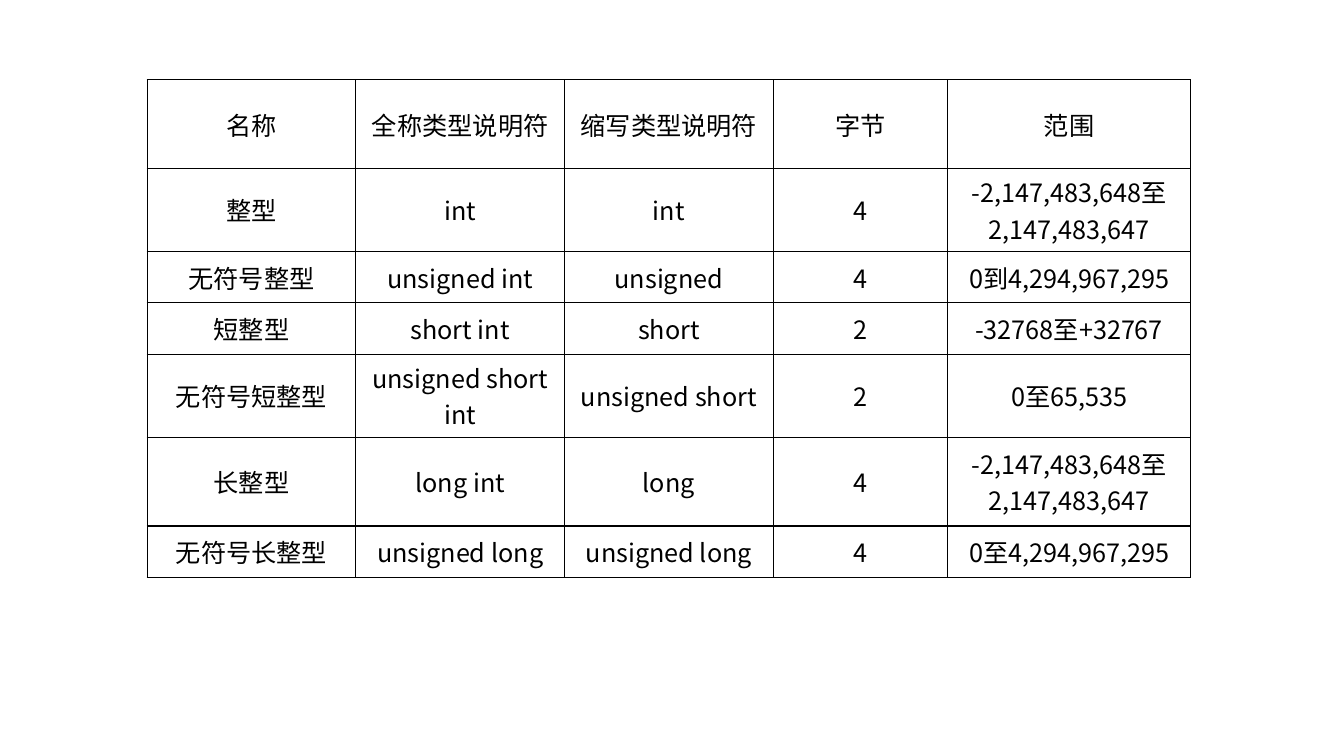
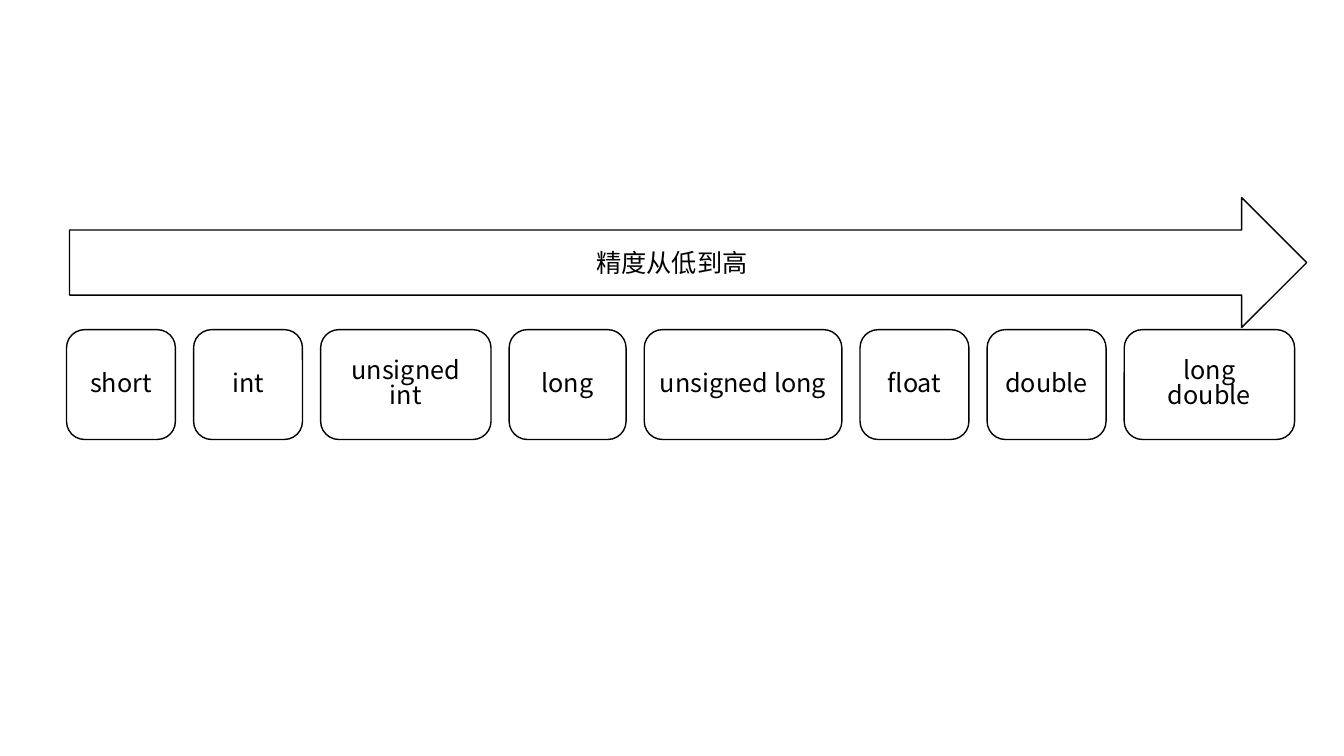
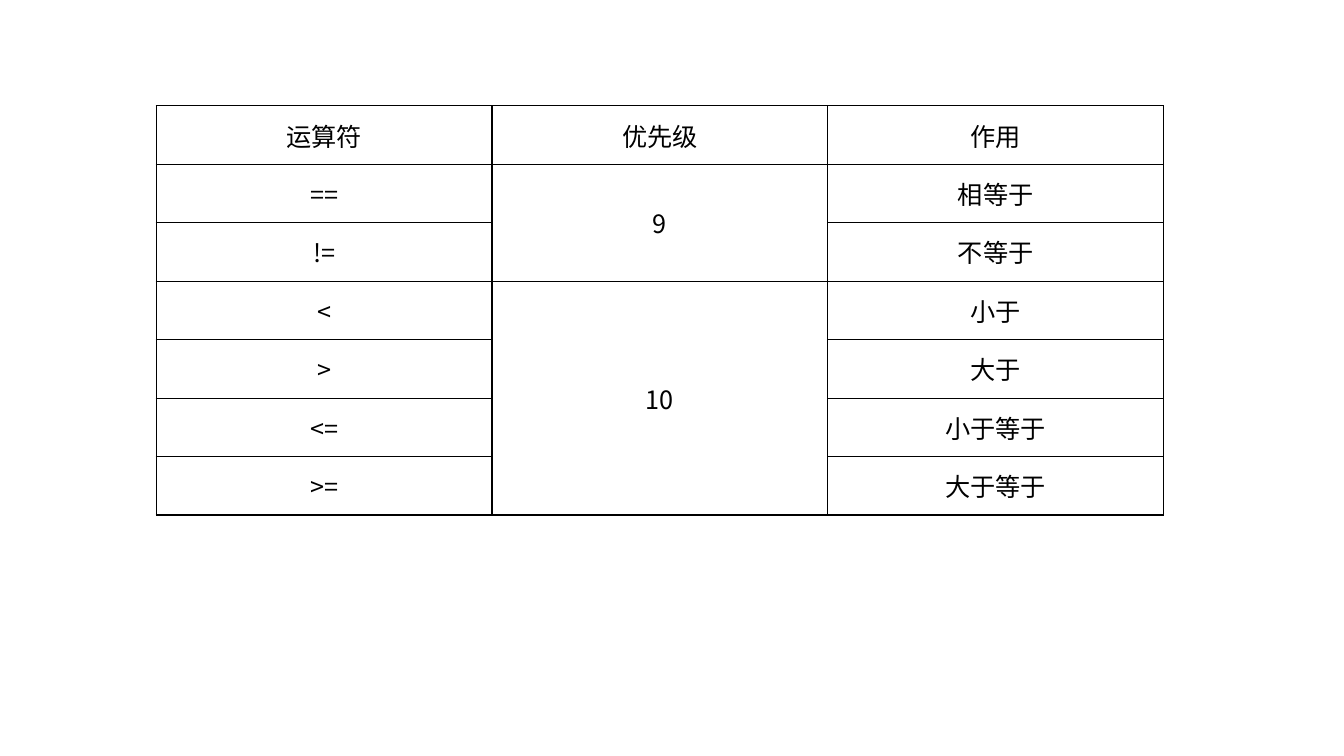
"""Three slides on integer types, type precision and relational operators."""
from pptx import Presentation
from pptx.dml.color import RGBColor
from pptx.enum.shapes import MSO_SHAPE
from pptx.enum.text import MSO_ANCHOR, PP_ALIGN
from pptx.oxml import parse_xml
from pptx.oxml.ns import nsdecls
from pptx.util import Inches, Pt

MIDDLE, CENTER = MSO_ANCHOR.MIDDLE, PP_ALIGN.CENTER
ARROW, ROUND = MSO_SHAPE.RIGHT_ARROW, MSO_SHAPE.ROUNDED_RECTANGLE
BLACK = RGBColor(0, 0, 0)
WHITE = RGBColor(255, 255, 255)
FONT, SIZE = "Noto Sans CJK SC", Pt(18)
STROKE = Pt(1)

TYPES = [
    ("名称", "全称类型说明符", "缩写类型说明符", "字节", "范围"),
    ("整型", "int", "int", "4", "-2,147,483,648至2,147,483,647"),
    ("无符号整型", "unsigned int", "unsigned", "4", "0到4,294,967,295"),
    ("短整型", "short int", "short", "2", "-32768至+32767"),
    ("无符号短整型", "unsigned short int", "unsigned short", "2", "0至65,535"),
    ("长整型", "long int", "long", "4", "-2,147,483,648至2,147,483,647"),
    ("无符号长整型", "unsigned long", "unsigned long", "4", "0至4,294,967,295"),
]
TYPE_COLS = [2.07, 2.07, 2.07, 1.73, 2.41]
TYPE_ROWS = [0.88, 0.82, 0.51, 0.51, 0.82, 0.88, 0.51]

SCALE = "精度从低到高"
RANKS = [
    ("short", 1.08), ("int", 1.08), ("unsigned int", 1.69), ("long", 1.16),
    ("unsigned long", 1.96), ("float", 1.08), ("double", 1.18),
    ("long double", 1.69),
]
RANK_LEFT, RANK_TOP, RANK_HIGH, RANK_GAP = 0.66, 3.27, 1.09, 0.18
TIGHT = 0.82

SIGNS = [
    ("运算符", "优先级", "作用"),
    ("==", "9", "相等于"),
    ("!=", "", "不等于"),
    ("<", "10", "小于"),
    (">", "", "大于"),
    ("<=", "", "小于等于"),
    (">=", "", "大于等于"),
]
SIGN_COLS = [3.33] * 3
SIGN_ROWS = [0.58] * len(SIGNS)
SIGN_SPANS = [(1, 2, 1), (3, 6, 1)]


def write(frame, text, spacing=1.0):
    """Put one centred run into a text frame."""
    para = frame.paragraphs[0]
    para.alignment = CENTER
    para.line_spacing = spacing
    run = para.add_run()
    run.text = text
    font = run.font
    font.name, font.size = FONT, SIZE
    font.color.rgb = BLACK
    font._element.append(
        parse_xml(f'<a:ea {nsdecls("a")} typeface="{FONT}"/>'))


def edge(cell):
    """Draw a black line on all four sides of a cell."""
    props = cell._tc.get_or_add_tcPr()
    for spot, side in enumerate("LRTB"):
        props.insert(spot, parse_xml(
            f'<a:ln{side} {nsdecls("a")} w="{int(STROKE)}"><a:solidFill>'
            f'<a:srgbClr val="{BLACK}"/></a:solidFill></a:ln{side}>'))


def add_grid(slide, data, left, top, cols, rows, spans=()):
    """Add a bordered table; spans hold first row, last row and column."""
    grid = slide.shapes.add_table(
        len(rows), len(cols), Inches(left), Inches(top),
        Inches(sum(cols)), Inches(sum(rows))).table
    grid.first_row = grid.horz_banding = False
    for col, wide in zip(grid.columns, cols):
        col.width = Inches(wide)
    for row, high, texts in zip(grid.rows, rows, data):
        row.height = Inches(high)
        for cell, text in zip(row.cells, texts):
            cell.fill.solid()
            cell.fill.fore_color.rgb = WHITE
            cell.vertical_anchor = MIDDLE
            edge(cell)
            if text:
                write(cell.text_frame, text)
    for first, last, col in spans:
        grid.cell(first, col).merge(grid.cell(last, col))


def add_box(slide, kind, text, left, top, wide, high, spacing=1.0):
    """Add a white outlined shape with centred text."""
    box = slide.shapes.add_shape(
        kind, Inches(left), Inches(top), Inches(wide), Inches(high))
    box.shadow.inherit = False
    box.fill.solid()
    box.fill.fore_color.rgb = WHITE
    box.line.color.rgb = BLACK
    box.line.width = STROKE
    frame = box.text_frame
    frame.word_wrap = True
    frame.vertical_anchor = MIDDLE
    write(frame, text, spacing)


def main():
    """Build and save the three slides."""
    deck = Presentation()
    deck.slide_width, deck.slide_height = Inches(13.33), Inches(7.5)
    blank = deck.slide_layouts[6]
    types, ranks, signs = [deck.slides.add_slide(blank) for _ in range(3)]

    add_grid(types, TYPES, 1.46, 0.79, TYPE_COLS, TYPE_ROWS)

    add_box(ranks, ARROW, SCALE, 0.69, 1.96, 12.27, 1.29)
    left = RANK_LEFT
    for name, wide in RANKS:
        add_box(ranks, ROUND, name, left, RANK_TOP, wide, RANK_HIGH, TIGHT)
        left += wide + RANK_GAP

    add_grid(signs, SIGNS, 1.55, 1.05, SIGN_COLS, SIGN_ROWS, SIGN_SPANS)
    deck.save("out.pptx")


if __name__ == "__main__":
    main()
